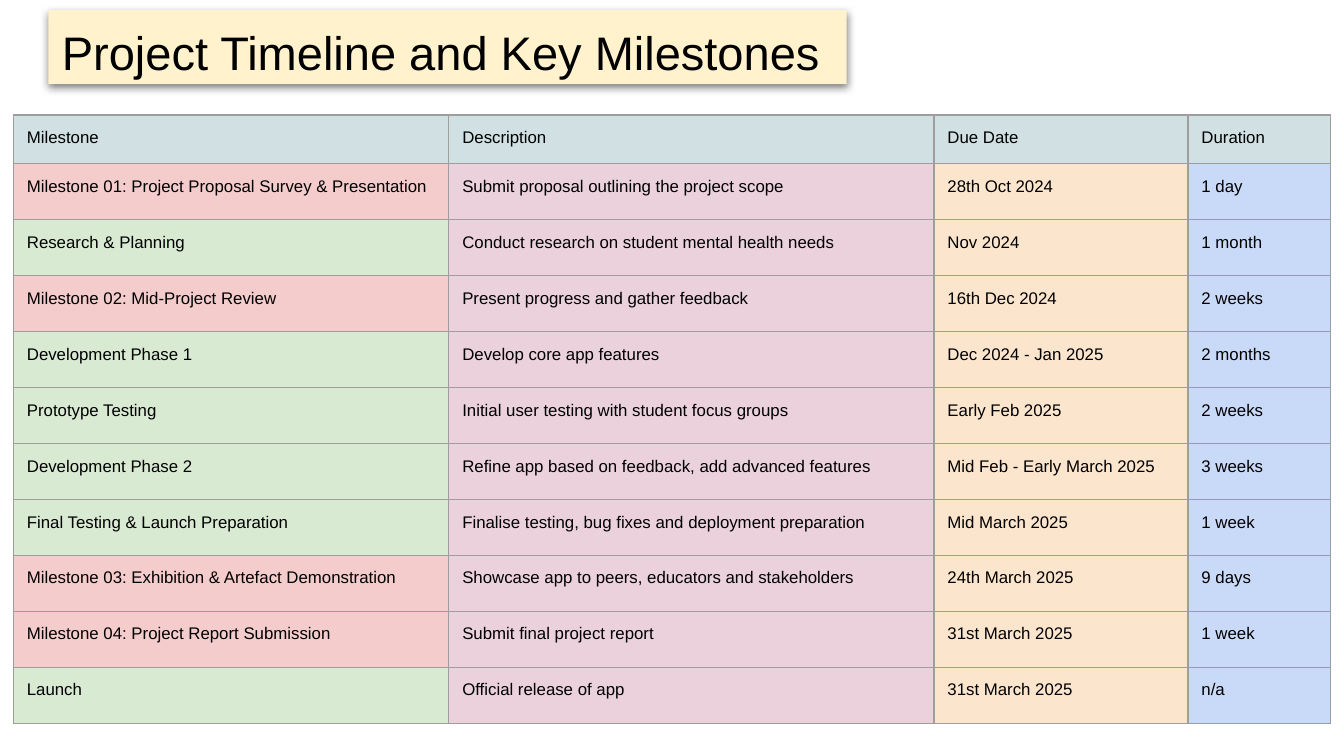
from lxml.etree import SubElement
from pptx import Presentation
from pptx.dml.color import RGBColor as RGB
from pptx.enum.text import MSO_ANCHOR as Anchor, MSO_AUTO_SIZE as AutoSize, PP_ALIGN as Align
from pptx.oxml import parse_xml
from pptx.oxml.ns import nsdecls, qn
from pptx.util import Inches, Pt

COLORS = {
    "text": "000000", "title": "FFF2CC", "header": "D0E0E3",
    "milestone": "F4CCCC", "phase": "D9EAD3", "description": "EAD1DC",
    "date": "FCE5CD", "duration": "C9DAF8", "border": "9E9E9E", "shadow": "000000",
}
ROWS = [
    ("Milestone", "Description", "Due Date", "Duration"),
    ("Milestone 01: Project Proposal Survey & Presentation",
     "Submit proposal outlining the project scope", "28th Oct 2024", "1 day"),
    ("Research & Planning",
     "Conduct research on student mental health needs", "Nov 2024", "1 month"),
    ("Milestone 02: Mid-Project Review",
     "Present progress and gather feedback", "16th Dec 2024", "2 weeks"),
    ("Development Phase 1",
     "Develop core app features", "Dec 2024 - Jan 2025", "2 months"),
    ("Prototype Testing",
     "Initial user testing with student focus groups", "Early Feb 2025", "2 weeks"),
    ("Development Phase 2",
     "Refine app based on feedback, add advanced features",
     "Mid Feb - Early March 2025", "3 weeks"),
    ("Final Testing & Launch Preparation",
     "Finalise testing, bug fixes and deployment preparation", "Mid March 2025", "1 week"),
    ("Milestone 03: Exhibition & Artefact Demonstration",
     "Showcase app to peers, educators and stakeholders", "24th March 2025", "9 days"),
    ("Milestone 04: Project Report Submission",
     "Submit final project report", "31st March 2025", "1 week"),
    ("Launch", "Official release of app", "31st March 2025", "n/a"),
]
COL_WIDTHS = [Inches(w) for w in (3.24, 3.61, 1.89, 1.06)]
ROW_HEIGHTS = [Pt(26)] + [Pt(30)] * (len(ROWS) - 1)
MARGIN = Inches(0.1)


def write(tf, text, size):
    p = tf.paragraphs[0]
    p.alignment = Align.LEFT
    r = p.add_run()
    r.text = text
    for name, value in {"name": "Arial", "size": Pt(size), "bold": False}.items():
        setattr(r.font, name, value)
    r.font.color.rgb = RGB.from_string(COLORS["text"])


prs = Presentation()
prs.slide_width = Inches(10)
prs.slide_height = prs.slide_width * 9 // 16
s = prs.slides.add_slide(prs.slide_layouts[5])

title = s.shapes.title
box = {"left": Inches(0.36), "top": prs.slide_height // 75,
       "width": Inches(5.94), "height": Inches(0.55)}
for name, value in box.items():
    setattr(title, name, value)
title.fill.solid()
title.fill.fore_color.rgb = RGB.from_string(COLORS["title"])
title.shadow.inherit = False
effects = title._element.spPr.find(qn("a:effectLst"))
shadow = SubElement(effects, qn("a:outerShdw"), blurRad=str(Pt(4.5)), dist=str(Pt(1.5)),
                    dir="5400000", algn="bl", rotWithShape="0")
shade = SubElement(shadow, qn("a:srgbClr"), val=COLORS["shadow"])
SubElement(shade, qn("a:alpha"), val="50000")
tf = title.text_frame
frame = {
    "auto_size": AutoSize.NONE, "word_wrap": True, "vertical_anchor": Anchor.TOP,
    "margin_left": MARGIN, "margin_right": MARGIN,
    "margin_top": MARGIN, "margin_bottom": MARGIN,
}
for name, value in frame.items():
    setattr(tf, name, value)
write(tf, "Project Timeline and Key Milestones", 25.2)

table = s.shapes.add_table(
    len(ROWS), len(COL_WIDTHS), MARGIN, prs.slide_height * 19 // 125,
    sum(COL_WIDTHS), sum(ROW_HEIGHTS)).table
for col, width in zip(table.columns, COL_WIDTHS):
    col.width = width
for row, height in zip(table.rows, ROW_HEIGHTS):
    row.height = height

for i, texts in enumerate(ROWS):
    kind = "milestone" if texts[0].startswith("Milestone") else "phase"
    fills = [kind, "description", "date", "duration"] if i else ["header"] * 4
    for j, (text, fill) in enumerate(zip(texts, fills)):
        cell = table.cell(i, j)
        for side in ("left", "right", "top", "bottom"):
            setattr(cell, f"margin_{side}", MARGIN)
        tcPr = cell._tc.get_or_add_tcPr()
        for edge in "LRTB":
            tcPr.append(parse_xml(
                f'<a:ln{edge} {nsdecls("a")} w="{Pt(0.75)}"><a:solidFill>'
                f'<a:srgbClr val="{COLORS["border"]}"/></a:solidFill></a:ln{edge}>'))
        cell.fill.solid()
        cell.fill.fore_color.rgb = RGB.from_string(COLORS[fill])
        write(cell.text_frame, text, 9)

prs.save("out.pptx")
